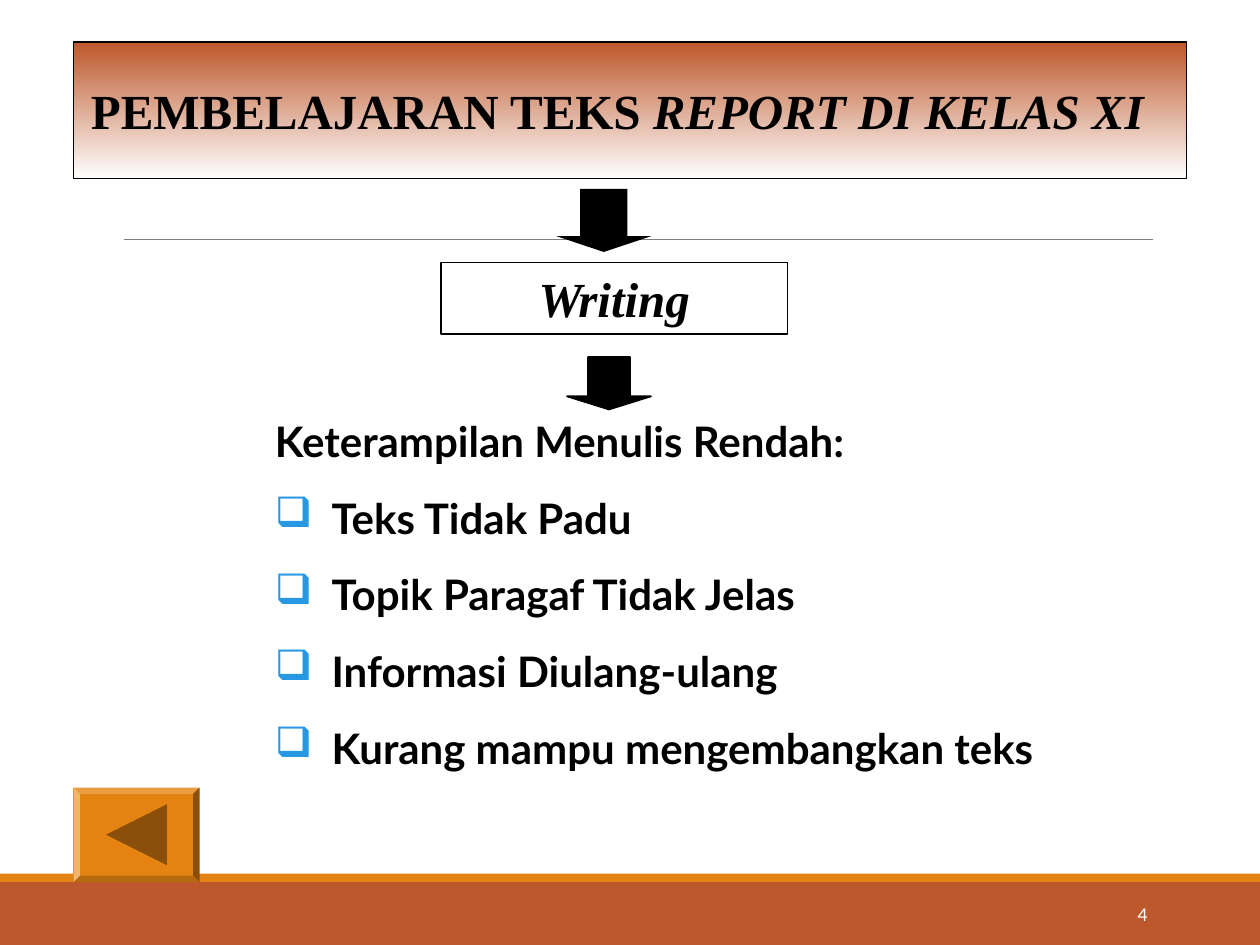
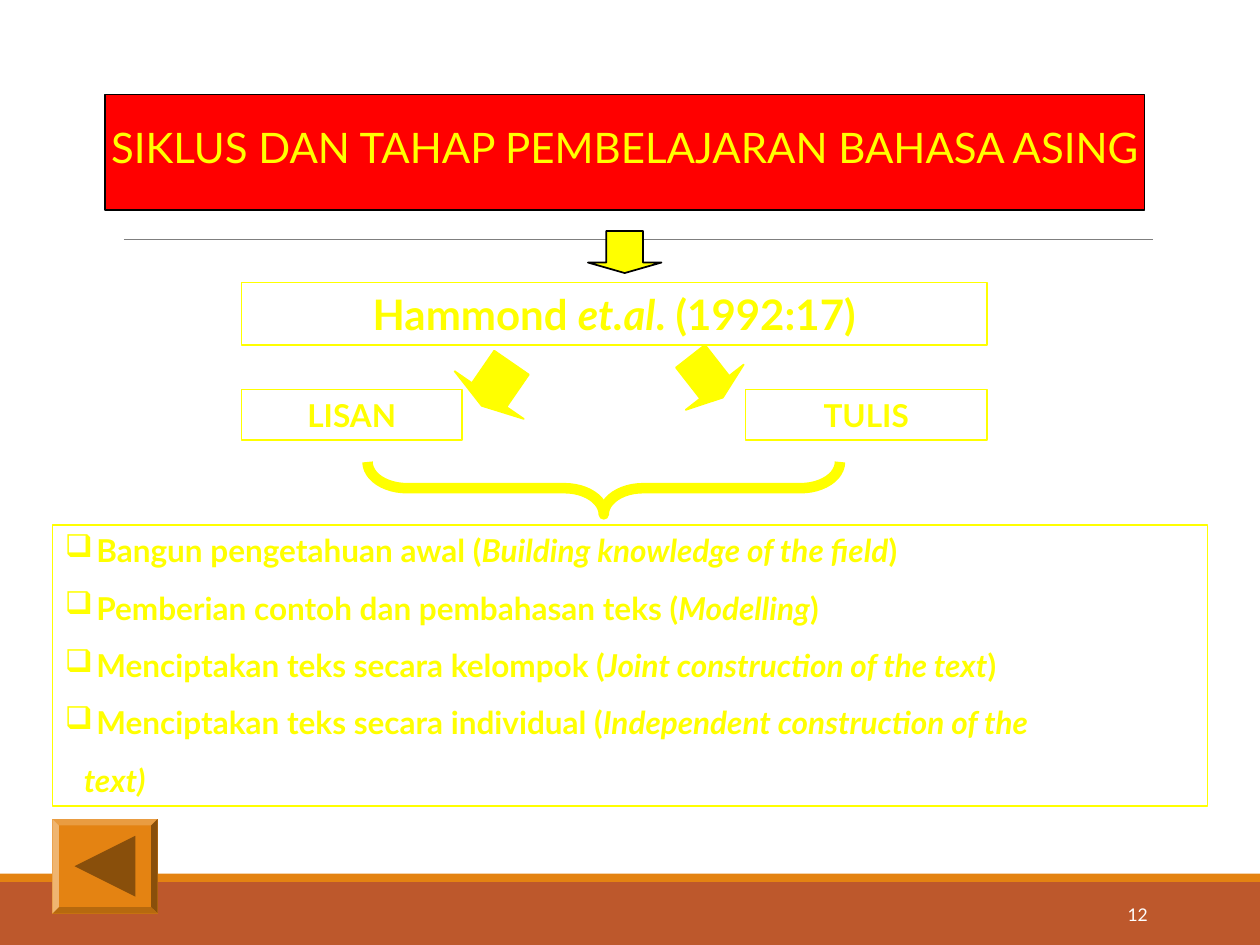
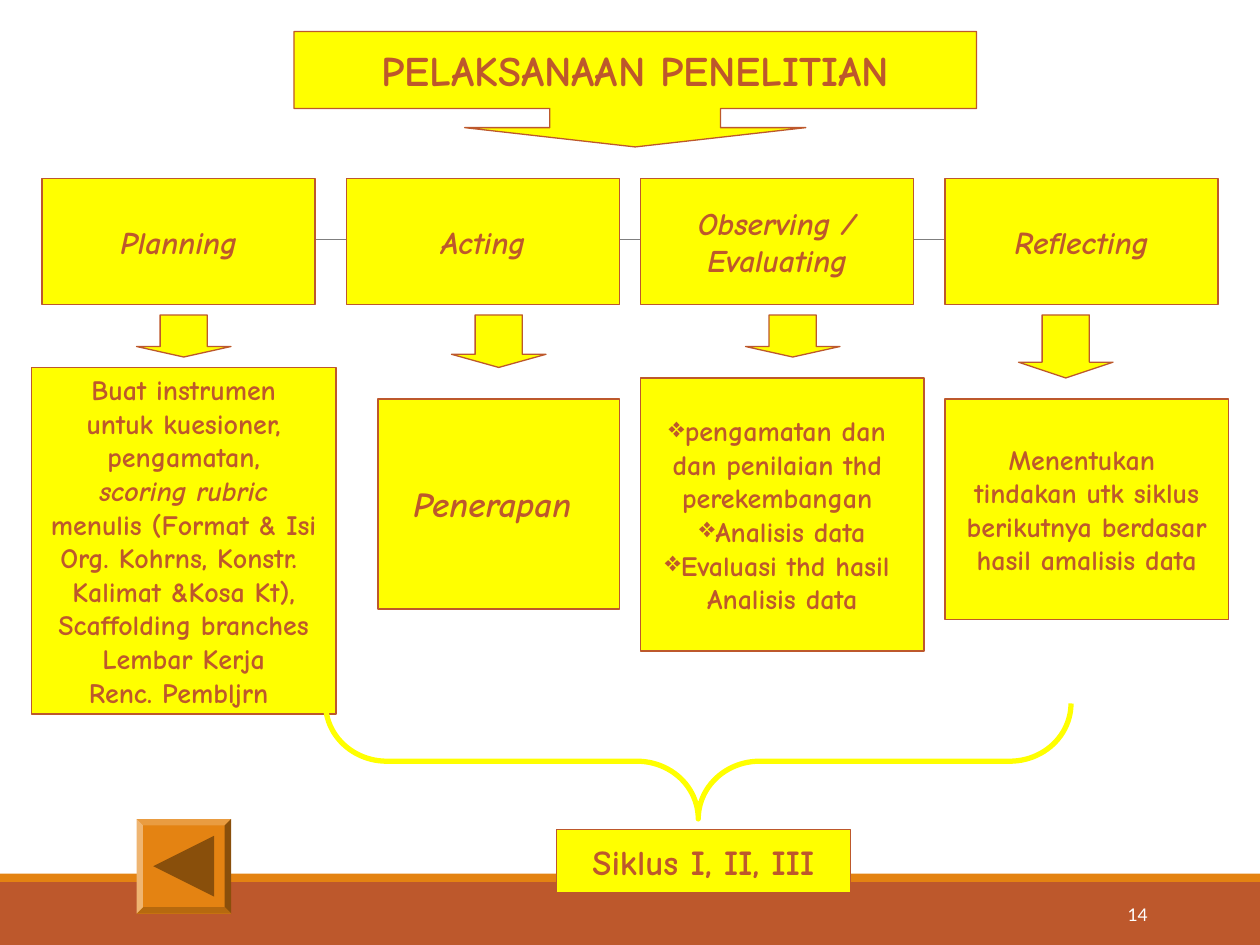
from lxml.etree import SubElement
from pptx import Presentation
from pptx.dml.color import RGBColor
from pptx.enum.shapes import MSO_CONNECTOR, MSO_SHAPE
from pptx.enum.text import MSO_ANCHOR, PP_ALIGN
from pptx.oxml.ns import qn
from pptx.util import Inches, Pt

# Palette and grid: 120 columns by 90 rows on a 10 x 7.5 inch slide
RUST, ORANGE, YELLOW, RED = "BD582C", "E48312", "FFFF00", "FF0000"
BLACK, WHITE, GRAY, BLUE = "000000", "FFFFFF", "7F7F7F", "2998E3"
BEVEL_TOP, BEVEL_RIGHT, BEVEL_BOTTOM, BEVEL_LEFT = "E99C41", "894F0B", "B6690E", "EFB571"
COLUMNS, ROWS = 120, 90

# Text formats
PAGE_NUMBER = {"name": "Lato", "size": 10, "color": WHITE}
SERIF = {"name": "Times New Roman", "size": 28, "color": BLACK, "bold": True}
SKILLS = {"name": "Lato", "size": 24, "color": BLACK, "bold": True}
TITLE = {"name": "Lato", "size": 24, "color": YELLOW}
AUTHOR = {**TITLE, "bold": True}
STAGE = {**AUTHOR, "size": 18}
COMIC = {"name": "Comic Neue", "size": 16, "color": RUST, "bold": True}
COMIC_PHASE = {**COMIC, "size": 18}
COMIC_RESULT = {**COMIC, "size": 20}
COMIC_TITLE = {**COMIC, "size": 24}


def rgb(value):
    return RGBColor.from_string(value)


class Deck:
    def __init__(self):
        self.presentation = Presentation()
        self.presentation.slide_width = Inches(10)
        self.presentation.slide_height = Inches(7.5)
        self.column = self.presentation.slide_width / COLUMNS
        self.row = self.presentation.slide_height / ROWS
        self.slide = None

    def add_slide(self, number):
        """Start a slide with the footer bands, rule and page number."""
        layout = self.presentation.slide_layouts[6]
        self.slide = self.presentation.slides.add_slide(layout)
        self.shape((0, 84, 120, 6), RUST)
        self.shape((0, 83.2, 120, 0.8), ORANGE)
        self.rule(11.8, 109.8, 22.8)
        page = self.shape((97.5, 84.7, 13, 4.8))
        self.text(page, [str(number)], PAGE_NUMBER, align=PP_ALIGN.RIGHT)

    def place(self, box):
        left, top, width, height = box
        return (round(left * self.column), round(top * self.row),
                round(width * self.column), round(height * self.row))

    def paint(self, shape, fill=None, line=None, weight=1):
        shape.shadow.inherit = False
        if fill:
            shape.fill.solid()
            shape.fill.fore_color.rgb = rgb(fill)
        else:
            shape.fill.background()
        if line:
            shape.line.color.rgb = rgb(line)
            shape.line.width = Pt(weight)
        else:
            shape.line.fill.background()
        return shape

    def shape(self, box, fill=None, line=None, weight=1, kind=MSO_SHAPE.RECTANGLE,
              adjustments=(), rotation=0):
        shape = self.slide.shapes.add_shape(kind, *self.place(box))
        for index, value in enumerate(adjustments):
            shape.adjustments[index] = value
        shape.rotation = rotation
        return self.paint(shape, fill, line, weight)

    def arrow(self, box, fill, line=None, weight=1, rotation=0):
        return self.shape(box, fill, line, weight, MSO_SHAPE.DOWN_ARROW, (0.5, 0.25), rotation)

    def brace(self, box, weight, curve):
        return self.shape(box, None, YELLOW, weight, MSO_SHAPE.RIGHT_BRACE, (curve, 0.5), 90)

    def gradient(self, shape, first, last):
        shape.fill.gradient()
        shape.fill.gradient_angle = 270
        for stop, color in zip(shape.fill.gradient_stops, (first, last)):
            stop.color.rgb = rgb(color)

    def rule(self, start, end, row):
        left, top, right, bottom = self.place((start, row, end, row))
        line = self.slide.shapes.add_connector(MSO_CONNECTOR.STRAIGHT, left, top, right, bottom)
        line.line.color.rgb = rgb(GRAY)
        line.line.width = Pt(0.5)
        SubElement(line._element.spPr, qn("a:effectLst"))

    def polygon(self, points, fill):
        corners = [(round(x * self.column), round(y * self.row)) for x, y in points]
        builder = self.slide.shapes.build_freeform(*corners[0])
        builder.add_line_segments(corners[1:], close=True)
        self.paint(builder.convert_to_shape(), fill)

    def back_button(self, left, top, width, height, bevel=0.6, reach=2.9):
        """Bevelled button with a triangle that points left."""
        def corners(inset):
            right, bottom = left + width - inset, top + height - inset
            return [(left + inset, top + inset), (right, top + inset),
                    (right, bottom), (left + inset, bottom)]

        outer, inner = corners(0), corners(bevel)
        self.polygon(outer, ORANGE)
        for side, color in enumerate((BEVEL_TOP, BEVEL_RIGHT, BEVEL_BOTTOM, BEVEL_LEFT)):
            following = (side + 1) % 4
            self.polygon([outer[side], outer[following], inner[following], inner[side]], color)
        x, y = left + width / 2, top + height / 2
        self.polygon([(x - reach, y), (x + reach, y - reach), (x + reach, y + reach)], BEVEL_RIGHT)

    def text(self, shape, lines, style, align=PP_ALIGN.CENTER, anchor=MSO_ANCHOR.MIDDLE,
             wrap=False, before=0, right=0.1, bullet=None, bullet_color=None, hang=0):
        """Write lines; *stars* mark italics and a leading bullet marks a list item."""
        frame = shape.text_frame
        layout = {"word_wrap": wrap, "vertical_anchor": anchor,
                  "margin_left": Inches(0.1), "margin_right": Inches(right),
                  "margin_top": Inches(0.05), "margin_bottom": Inches(0.05)}
        for name, value in layout.items():
            setattr(frame, name, value)
        for index, line in enumerate(lines):
            paragraph = frame.add_paragraph() if index else frame.paragraphs[0]
            paragraph.alignment = align
            paragraph.space_before = Pt(before)
            if bullet and line.startswith(bullet):
                line = line[len(bullet):]
                self.bullet(paragraph, bullet, bullet_color, hang)
            for part, words in enumerate(line.split("*")):
                if words:
                    self.run(paragraph, words, {**style, "italic": part % 2 == 1})

    def run(self, paragraph, words, style):
        run = paragraph.add_run()
        run.text = words
        for name, value in style.items():
            if name == "color":
                run.font.color.rgb = rgb(value)
            else:
                setattr(run.font, name, Pt(value) if name == "size" else value)

    def bullet(self, paragraph, character, color, hang):
        properties = paragraph._p.get_or_add_pPr()
        properties.set("marL", str(Inches(hang)))
        properties.set("indent", str(-Inches(hang)))
        holder = SubElement(properties, qn("a:buClr"))
        SubElement(holder, qn("a:srgbClr")).set("val", color)
        SubElement(properties, qn("a:buChar")).set("char", character)


def writing_slide(deck):
    deck.add_slide(4)
    header = deck.shape((7, 4, 106, 13), WHITE, BLACK)
    deck.gradient(header, RUST, WHITE)
    deck.text(header, ["PEMBELAJARAN TEKS *REPORT DI KELAS XI*"], SERIF, right=0.3)
    deck.arrow((53, 18, 9, 6), BLACK)
    writing = deck.shape((42, 25, 33, 6.8), None, BLACK)
    deck.text(writing, ["*Writing*"], SERIF)
    deck.arrow((54, 34, 8, 5), BLACK, BLACK)

    # Weak writing skills
    skills = deck.shape((25, 39, 86, 35.3))
    deck.text(skills, ["Keterampilan Menulis Rendah:", "❑Teks Tidak Padu",
                       "❑Topik Paragaf Tidak Jelas", "❑Informasi Diulang-ulang",
                       "❑Kurang mampu mengembangkan teks"],
              SKILLS, PP_ALIGN.LEFT, MSO_ANCHOR.TOP, True, before=15,
              bullet="❑", bullet_color=BLUE, hang=0.45)
    deck.back_button(7, 75, 12, 9)


def cycle_slide(deck):
    deck.add_slide(12)
    deck.shape((10, 9, 99, 11), RED, BLACK)
    title = deck.shape((13, 11, 93, 7))
    deck.text(title, ["SIKLUS DAN TAHAP PEMBELAJARAN BAHASA ASING"], TITLE,
              anchor=MSO_ANCHOR.TOP)
    deck.arrow((56, 22, 7, 4), YELLOW, BLACK)

    # Author and the two modes
    for box, label, style in (((23, 26.9, 71, 6), "Hammond *et.al*. (1992:17)", AUTHOR),
                              ((23, 37.1, 21, 4.8), "LISAN", STAGE),
                              ((71, 37.1, 23, 4.8), "TULIS", STAGE)):
        deck.text(deck.shape(box, None, YELLOW), [label], style)
    deck.arrow((43.3, 34.1, 8, 5), YELLOW, YELLOW, rotation=34.6)
    deck.arrow((63.8, 33.4, 7, 5), YELLOW, YELLOW, rotation=322)
    deck.brace((55, 24, 5, 45), 6, 0.75)

    # Stages of the cycle
    stages = deck.shape((5, 50, 110, 26.8), None, YELLOW)
    deck.text(stages, ["❑Bangun pengetahuan awal (*Building knowledge of the field*)",
                       "❑Pemberian contoh dan pembahasan teks (*Modelling*)",
                       "❑Menciptakan teks secara kelompok (*Joint construction of the text*)",
                       "❑Menciptakan teks secara individual (*Independent construction of the",
                       "*text)*"],
              STAGE, PP_ALIGN.LEFT, MSO_ANCHOR.TOP, True, before=11.2,
              bullet="❑", bullet_color=YELLOW, hang=0.25)
    closing = stages.text_frame.paragraphs[-1]._p.get_or_add_pPr()
    closing.set("marL", str(Inches(0.15)))
    closing.set("indent", "0")
    deck.back_button(5, 78, 10, 9)


def research_slide(deck):
    deck.add_slide(14)
    outline = {"fill": YELLOW, "line": RUST, "weight": 0.75}
    callout = deck.shape((28, 3, 65, 11), kind=MSO_SHAPE.DOWN_ARROW_CALLOUT,
                         adjustments=(1.478, 1.477, 0.167, 0.667), **outline)
    deck.text(callout, ["PELAKSANAAN PENELITIAN"], COMIC_TITLE)

    # Each phase: column, heading, arrow column and height, detail box, lines, style
    phases = [
        (4, ["*Planning*"], 13, 4, (3, 35, 29, 33),
         ["Buat instrumen", "untuk kuesioner,", "pengamatan,", "*scoring rubric*",
          "menulis (Format & Isi", "Org. Kohrns, Konstr. ", "Kalimat &Kosa Kt),",
          "Scaffolding branches", "Lembar Kerja", "Renc. Pembljrn "], COMIC),
        (33, ["*Acting*"], 43, 5, (36, 38, 23, 20), ["*Penerapan *"], COMIC_RESULT),
        (61, ["*Observing /*", "*Evaluating*"], 71, 4, (61, 36, 27, 26),
         ["❖pengamatan dan ", "dan penilaian thd ", "perekembangan ",
          "❖Analisis data", "❖Evaluasi thd hasil ", "Analisis data"], COMIC),
        (90, ["*Reflecting*"], 97, 6, (90, 38, 27, 21),
         ["Menentukan ", "tindakan utk siklus", "berikutnya berdasar",
          "hasil amalisis data"], COMIC),
    ]
    for column, heading, arrow_column, arrow_height, box, lines, style in phases:
        deck.text(deck.shape((column, 17, 26, 12), **outline), heading, COMIC_PHASE)
        deck.arrow((arrow_column, 30, 9, arrow_height), **outline)
        deck.text(deck.shape(box, **outline), lines, style, bullet="❖", bullet_color=RUST)

    # Cycles
    deck.brace((61, 37, 11, 71), 3, 0.53)
    deck.text(deck.shape((53, 79, 28, 6), **outline), ["Siklus I, II, III"], COMIC_RESULT)
    deck.back_button(13, 78, 9, 9)


def main():
    deck = Deck()
    for build in (writing_slide, cycle_slide, research_slide):
        build(deck)
    deck.presentation.save("out.pptx")


if __name__ == "__main__":
    main()
